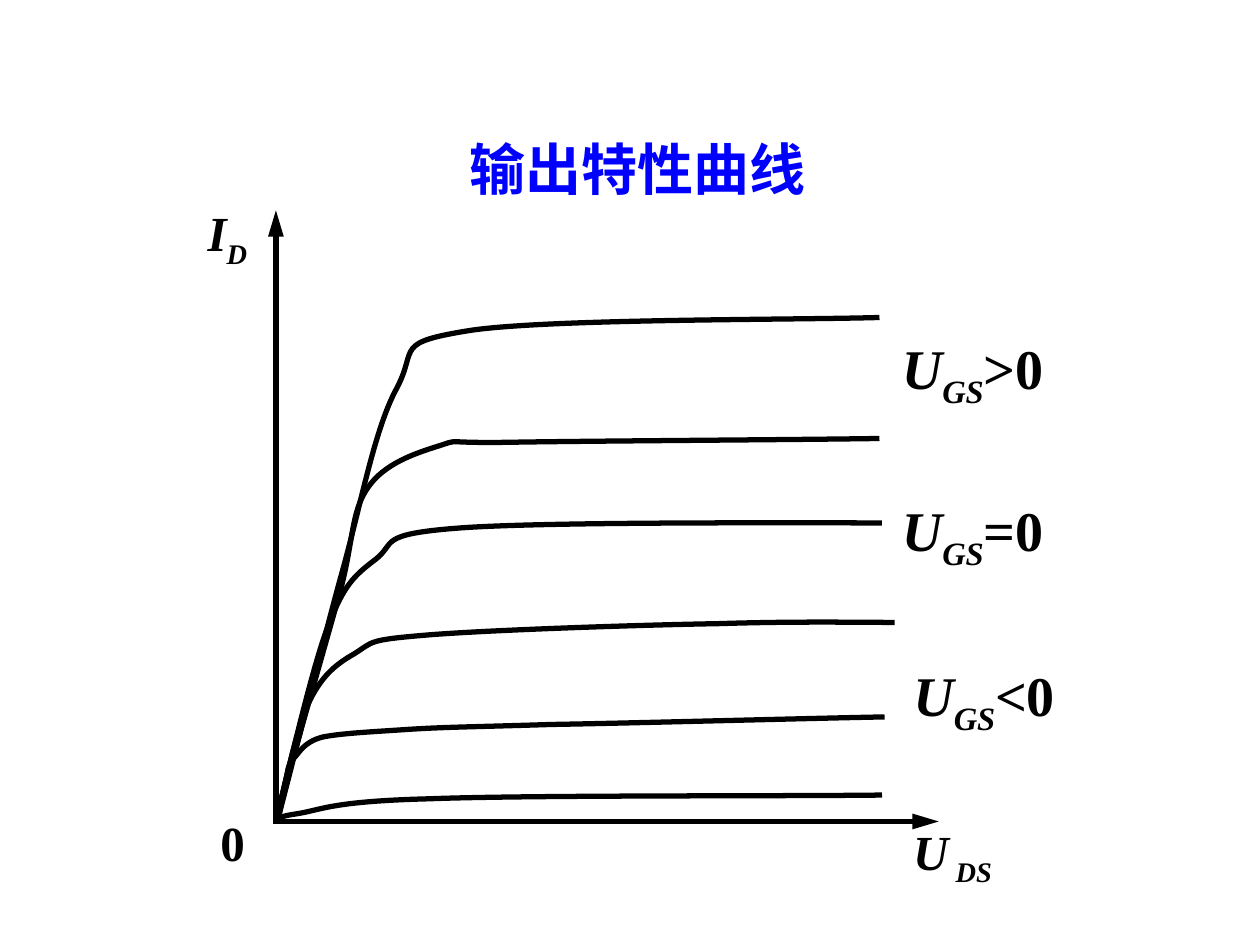
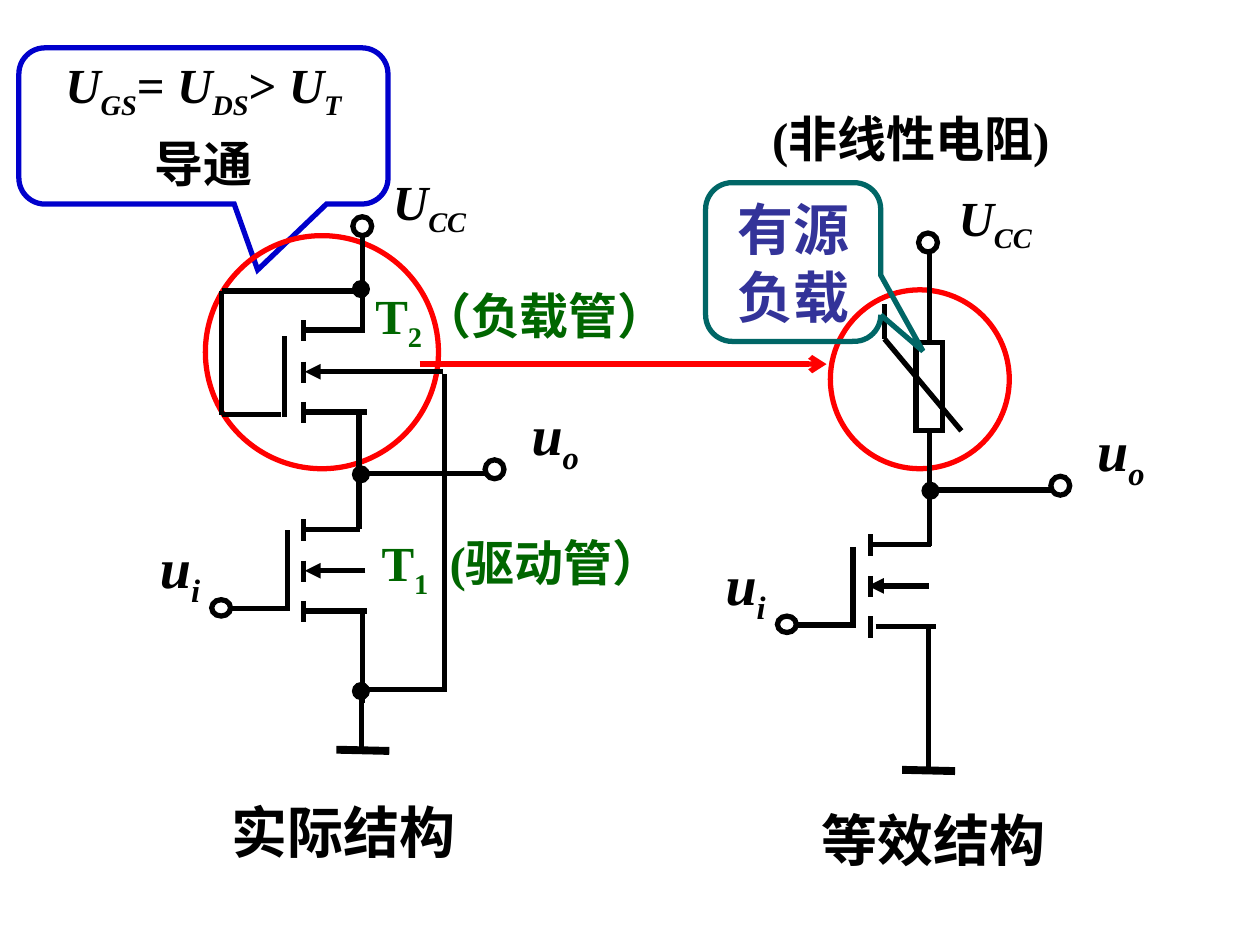
from lxml import etree
from pptx import Presentation
from pptx.dml.color import RGBColor
from pptx.enum.shapes import MSO_CONNECTOR, MSO_SHAPE
from pptx.enum.text import MSO_ANCHOR, PP_ALIGN
from pptx.oxml.ns import qn
from pptx.util import Inches, Pt

FONT = "Times New Roman"
COLORS = {
    "ink": "000000", "paper": "FFFFFF", "title": "0000FF", "red": "FF0000",
    "green": "006600", "blue": "0000CC", "teal": "006666", "indigo": "333399",
}

# Each curve: a start point, then sections of two control points and an end.
CURVES = [
    [(2.2, 6.52), (2.23, 6.51), (2.15, 6.49), (2.35, 6.46), (2.55, 6.43), (2.62, 6.36),
     (3.4, 6.34), (4.18, 6.31), (6.25, 6.32), (7, 6.31)],
    [(2.2, 6.52), (2.22, 6.47), (2.25, 6.27), (2.27, 6.19), (2.29, 6.1), (2.28, 6.08),
     (2.33, 6.02), (2.38, 5.97), (2.41, 5.89), (2.56, 5.85), (2.71, 5.82), (2.93, 5.81),
     (3.23, 5.79), (3.53, 5.77), (3.74, 5.77), (4.38, 5.75), (5.01, 5.74), (6.47, 5.7),
     (7.02, 5.69)],
    [(2.19, 6.52), (2.23, 6.37), (2.34, 5.83), (2.44, 5.6), (2.54, 5.38), (2.65, 5.28),
     (2.81, 5.19), (2.97, 5.09), (2.91, 5.08), (3.39, 5.04), (3.88, 5), (5.08, 4.96),
     (5.7, 4.95), (6.32, 4.93), (6.81, 4.94), (7.1, 4.94)],
    [(2.2, 6.46), (2.27, 6.21), (2.47, 5.32), (2.6, 4.98), (2.73, 4.64), (2.81, 4.57),
     (2.98, 4.44), (3.15, 4.31), (2.98, 4.24), (3.65, 4.19), (4.32, 4.14), (6.3, 4.15),
     (7, 4.15)],
    [(2.2, 6.46), (2.28, 6.17), (2.57, 5.16), (2.69, 4.73), (2.81, 4.3), (2.78, 4.07),
     (2.92, 3.87), (3.05, 3.68), (3.29, 3.6), (3.48, 3.54), (3.67, 3.48), (3.48, 3.52),
     (4.06, 3.51), (4.65, 3.5), (6.37, 3.49), (6.98, 3.48)],
    [(2.2, 6.52), (2.29, 6.19), (2.55, 5.14), (2.71, 4.56), (2.87, 3.99), (2.97, 3.41),
     (3.15, 3.08), (3.32, 2.76), (3.11, 2.72), (3.75, 2.62), (4.39, 2.53), (6.31, 2.54),
     (6.98, 2.52)],
]


def rgb(name):
    return RGBColor.from_string(COLORS[name])


def write(frame, content, size=28, color="ink", italic=False, align=PP_ALIGN.LEFT,
          anchor=MSO_ANCHOR.TOP, spacing=None, gap=0, tab=None):
    """Fill a frame; "|" splits runs, a leading "_" marks a subscript.

    With italic, only runs of Latin letters slant.
    """
    frame.word_wrap = True
    frame.vertical_anchor = anchor
    for number, line in enumerate(content.split("\n")):
        para = frame.add_paragraph() if number else frame.paragraphs[0]
        if tab:
            tabs = etree.SubElement(para._p.get_or_add_pPr(), qn("a:tabLst"))
            etree.SubElement(tabs, qn("a:tab"), pos=str(Inches(tab)), algn="l")
        para.alignment = align
        if spacing:
            para.line_spacing = spacing
        if number:
            para.space_before = Pt(gap)
        for piece in line.split("|"):
            run = para.add_run()
            run.text = piece.removeprefix("_")
            font = run.font
            font.name, font.size, font.bold = FONT, Pt(size), True
            font.color.rgb = rgb(color)
            letters = run.text.strip()
            font.italic = italic and letters.isascii() and letters.isalpha()
            if piece.startswith("_"):
                run._r.get_or_add_rPr().set("baseline", "-25000")


def text(slide, content, x, y, w, h, **style):
    box = slide.shapes.add_textbox(Inches(x), Inches(y), Inches(w), Inches(h))
    write(box.text_frame, content, **style)


def symbol(slide, content, x, y, w=1.85, h=0.71, **style):
    text(slide, content, x, y, w, h, italic=True, **style)


def paint(item, line="ink", width=3, fill=None):
    item.shadow.inherit = False
    if fill:
        item.fill.solid()
        item.fill.fore_color.rgb = rgb(fill)
    else:
        item.fill.background()
    item.line.color.rgb = rgb(line)
    item.line.width = Pt(width)
    etree.SubElement(item.line._get_or_add_ln(), qn("a:miter"), lim="800000")


def shape(slide, kind, x, y, w, h, **look):
    item = slide.shapes.add_shape(kind, Inches(x), Inches(y), Inches(w), Inches(h))
    paint(item, **look)
    return item


def ring(slide, x, y, w=0.15, h=0.15, **look):
    shape(slide, MSO_SHAPE.OVAL, x, y, w, h, **look)


def dot(slide, x, y):
    ring(slide, x, y, 0.13, 0.13, width=1, fill="ink")


def callout(slide, content, x, y, w, h, tip, line, **style):
    item = shape(slide, MSO_SHAPE.ROUNDED_RECTANGULAR_CALLOUT, x, y, w, h, line=line)
    for index, value in enumerate((*tip, 0.167)):
        item.adjustments[index] = value
    write(item.text_frame, content, align=PP_ALIGN.CENTER,
          anchor=MSO_ANCHOR.MIDDLE, **style)


def wire(slide, x1, y1, x2, y2, color="ink", width=3, arrow=None, length="med"):
    item = slide.shapes.add_connector(
        MSO_CONNECTOR.STRAIGHT, Inches(x1), Inches(y1), Inches(x2), Inches(y2))
    item.line.color.rgb = rgb(color)
    item.line.width = Pt(width)
    if arrow:
        etree.SubElement(item.line._get_or_add_ln(), qn("a:tailEnd"),
                         type=arrow, w="med", len=length)
    etree.SubElement(item._element.spPr, qn("a:effectLst"))


def curve(slide, points):
    """Build an outline through all points, then turn each three into a Bezier."""
    start, *rest = [(Inches(x), Inches(y)) for x, y in points]
    pen = slide.shapes.build_freeform(*start)
    pen.add_line_segments(rest, close=False)
    item = pen.convert_to_shape()
    sides = list(item._element.iter(qn("a:lnTo")))
    track = sides[0].getparent()
    for i in range(0, len(sides), 3):
        bend = etree.SubElement(track, qn("a:cubicBezTo"))
        for side in sides[i:i + 3]:
            bend.append(side[0])
            track.remove(side)
    paint(item)


def mosfet(slide, x, y, plate, body, drain=0.49, source=0.02, tip=0.01):
    """Draw a transistor: bars at x, gate plate at a point, body wire from body."""
    left, top = plate
    wire(slide, left, top, left, top + 0.64)
    for drop in (0, 0.33, 0.65):
        wire(slide, x, y + drop, x, y + drop + 0.17)
    wire(slide, x, y + 0.08, x + drain, y + 0.08)
    wire(slide, x + source, y + 0.73, x + source + 0.48, y + 0.73)
    wire(slide, body, y + 0.41, x + tip, y + 0.41, arrow="triangle")


def ports(slide, x, y, ground):
    """Draw supply, input, output and ground, shifted by x and y."""
    ring(slide, x + 2.8, y + 1.72)
    ring(slide, x + 3.85, y + 3.65)
    ring(slide, x + 1.68, y + 4.76, h=0.13)
    wire(slide, x + 2.85, y + 3.76, x + 3.87, y + 3.76)
    wire(slide, x + 1.82, y + 4.83, x + 2.3, y + 4.83)
    wire(slide, x + 2.67, ground, x + 3.09, ground + 0.01, width=4.5)
    symbol(slide, "U|_CC", x + 3.02, y + 1.31, 1.15, 0.63)
    symbol(slide, "u|_i", x + 1.17, y + 4.18, 0.65, size=32)
    symbol(slide, "u|_o", x + 4.12, y + 3.12, 0.65, size=32)


def plot(slide):
    text(slide, "输出特性曲线", 3.63, 1.21, 3.23, 0.42, size=32, color="title", spacing=0.6)
    symbol(slide, "I|_D", 1.55, 1.56, 2, 0.63, anchor=MSO_ANCHOR.MIDDLE)
    wire(slide, 2.19, 6.52, 2.19, 1.67, arrow="triangle", length="lg")
    wire(slide, 2.17, 6.52, 7.45, 6.52, arrow="triangle", length="lg")
    symbol(slide, "U|_ DS", 6.96, 6.47, 1.2, 0.63, align=PP_ALIGN.CENTER,
           anchor=MSO_ANCHOR.MIDDLE)
    for points in CURVES:
        curve(slide, points)
    text(slide, "0", 1.65, 6.4, 0.56, 0.57)
    for sign, x, y in (("=", 7.06, 3.88), ("<", 7.15, 5.19), (">", 7.06, 2.6)):
        symbol(slide, f"U|_GS|{sign}0", x, y, size=32)


def model(slide):
    """Draw the equivalent circuit on the right."""
    ring(slide, 6.59, 2.3, 1.42, 1.42, line="red")
    text(slide, "等效结构", 6.42, 6.34, 2.08, 0.64, size=32)
    ports(slide, 4.49, 0.13, 6.11)
    mosfet(slide, 6.91, 4.24, (6.77, 4.34), body=7.37, drain=0.48,
           source=0.04, tip=-0.02)
    for x, top, base in ((7.38, 2.01, 2.76), (7.38, 3.39, 4.33), (7.37, 4.96, 6.11)):
        wire(slide, x, top, x, base)
    dot(slide, 7.32, 3.83)
    shape(slide, MSO_SHAPE.RECTANGLE, 7.27, 2.72, 0.21, 0.7, fill="paper")
    wire(slide, 7.02, 2.69, 7.63, 3.42)
    wire(slide, 7.02, 2.69, 7.02, 2.41)


def real(slide):
    """Draw the two-transistor circuit on the left."""
    ring(slide, 1.63, 1.87, 1.85, 1.85, line="red")
    text(slide, "实际结构", 1.74, 6.28, 2.08, 0.64, size=32)
    ports(slide, 0, 0, 5.95)
    mosfet(slide, 2.41, 2.54, (2.26, 2.67), body=3.52)
    mosfet(slide, 2.41, 4.12, (2.28, 4.21), body=2.9, drain=0.45)
    for x, top, base in ((2.88, 1.88, 2.63), (2.85, 3.27, 4.2), (2.88, 4.83, 5.58),
                         (2.87, 5.5, 5.96), (1.76, 2.31, 3.29), (3.53, 2.97, 5.49)):
        wire(slide, x, top, x, base)
    for left, right, y in ((1.76, 2.92, 2.31), (1.76, 2.23, 3.29), (2.87, 3.53, 5.47)):
        wire(slide, left, y, right, y)
    for y in (2.23, 3.7, 5.42):
        dot(slide, 2.8, y)


def main():
    deck = Presentation()
    deck.slide_width, deck.slide_height = Inches(10), Inches(7.5)
    first, second = [deck.slides.add_slide(deck.slide_layouts[6]) for _ in range(2)]
    plot(first)

    wire(second, 3.33, 2.89, 6.56, 2.89, color="red", arrow="arrow")
    model(second)
    text(second, "T|_2|（负载管）", 2.88, 2.22, 2.81, 0.63, color="green",
         anchor=MSO_ANCHOR.MIDDLE)
    text(second, "T|_1|\t(驱动管）", 2.93, 4.18, 2.66, 0.63, color="green",
         anchor=MSO_ANCHOR.MIDDLE, tab=0.54)
    callout(second, "U|_GS|= |U|_DS|> |U|_T\n导通", 0.15, 0.38, 2.93, 1.24,
            (0.147, 0.921), "blue", italic=True, spacing=0.8, gap=17.5)
    callout(second, "有源\n负载", 5.6, 1.45, 1.39, 1.26, (0.741, 0.561), "teal",
            size=32, color="indigo")
    text(second, "(非线性电阻)", 6.03, 0.9, 2.62, 0.48, spacing=0.8)
    real(second)
    deck.save("out.pptx")


if __name__ == "__main__":
    main()
